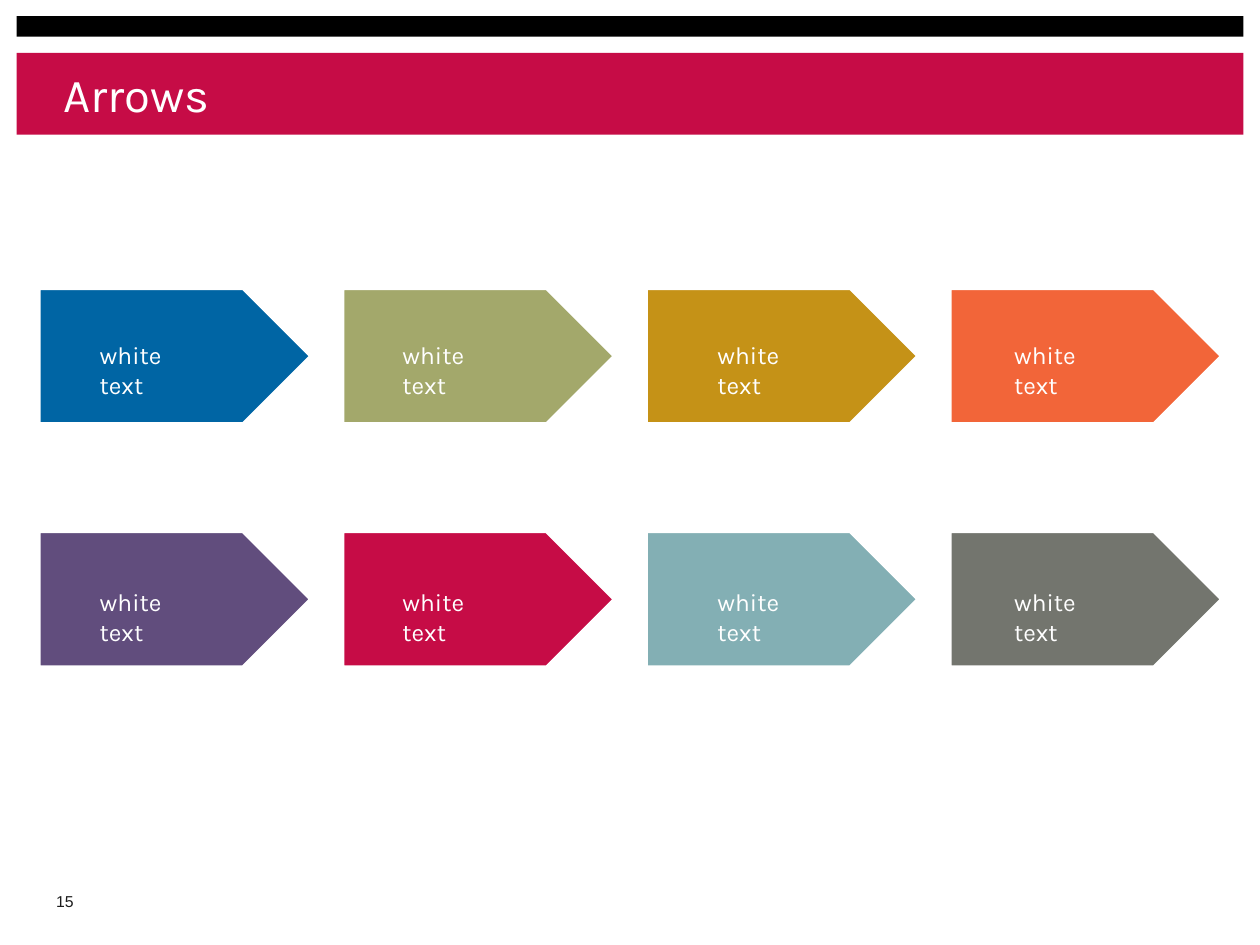
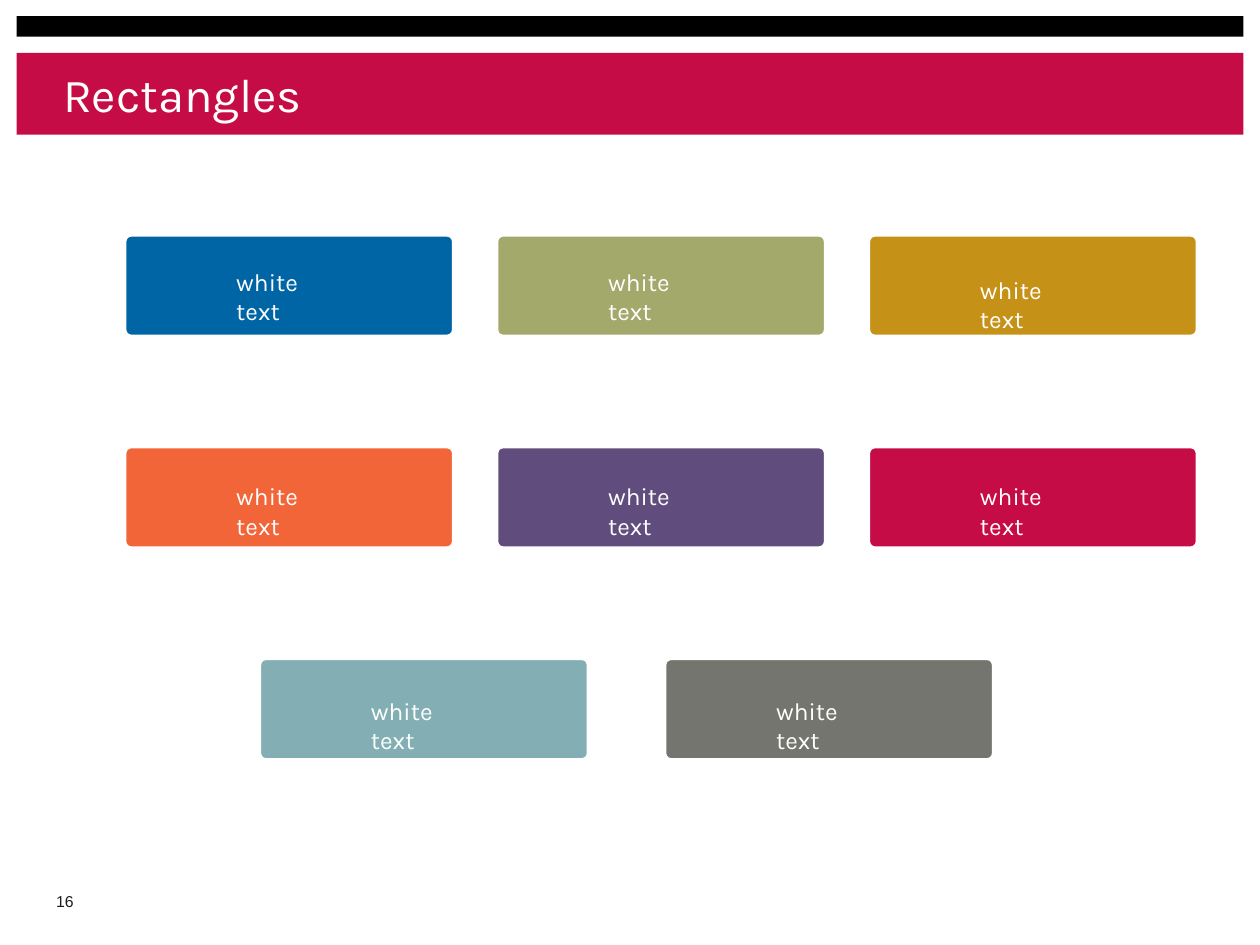
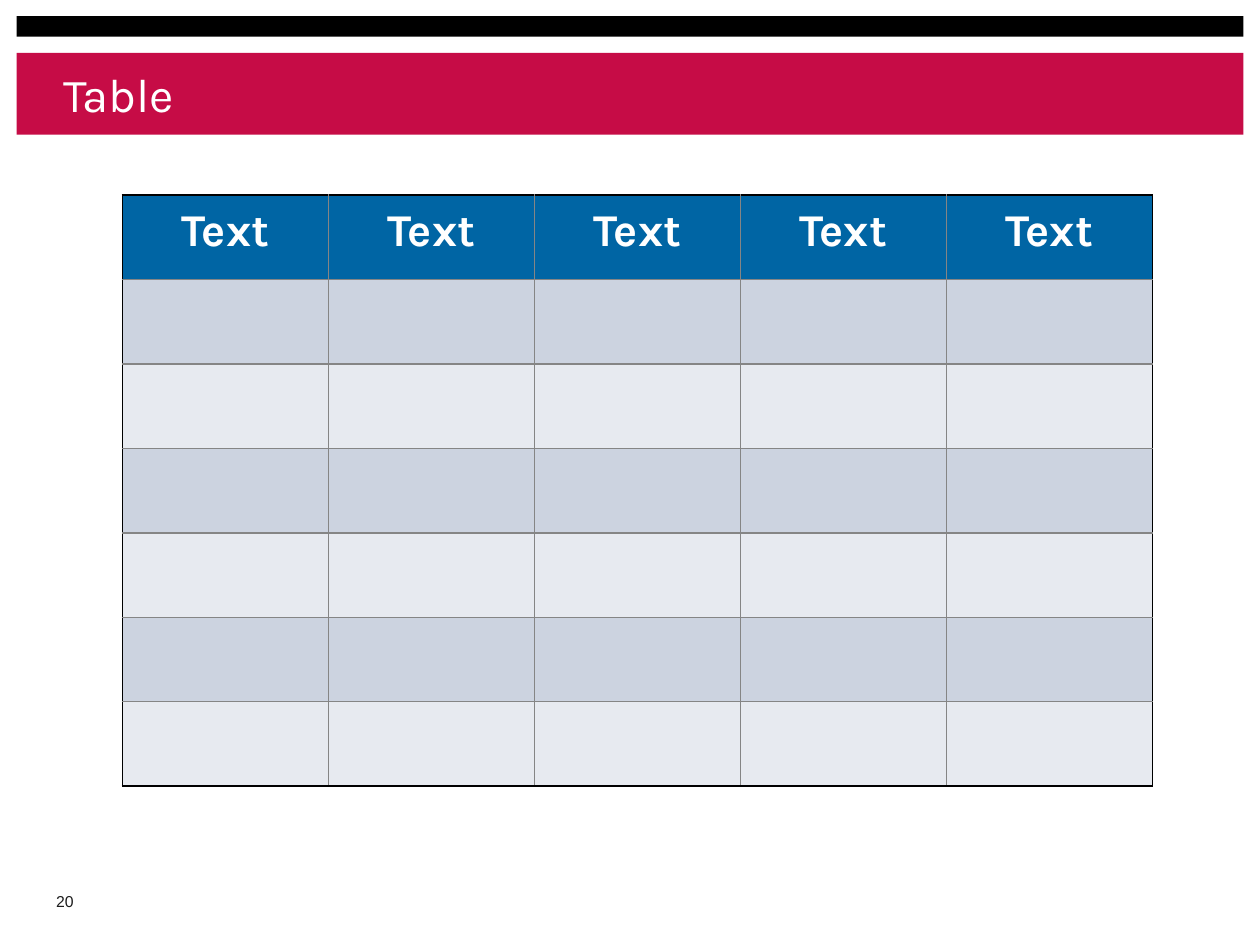
from dataclasses import dataclass

from lxml.etree import SubElement
from pptx import Presentation
from pptx.dml.color import RGBColor
from pptx.enum.shapes import MSO_SHAPE as SHAPE
from pptx.enum.text import MSO_ANCHOR as ANCHOR, PP_ALIGN as ALIGN
from pptx.oxml.ns import qn
from pptx.slide import Slide
from pptx.table import _Cell as Cell
from pptx.util import Pt

COLORS = {
    "blue": "0065A4", "green": "A3A86B", "gold": "C59217", "orange": "F26539",
    "purple": "614D7D", "crimson": "C60C46", "teal": "83AFB4", "gray": "73756E",
    "white": "FFFFFF", "black": "000000", "number": "1C1C1C",
    "grid": "858585", "dark_row": "CCD3E0", "light_row": "E7EAF0",
}
PALETTE = ["blue", "green", "gold", "orange", "purple", "crimson", "teal", "gray"]
FONT = "Karla"
NUMBER_FONT = "Arial"


@dataclass
class Badge:
    """A coloured shape with a caption; all lengths in points."""
    color: str
    left: float
    top: float
    caption_dx: float
    caption_dy: float


@dataclass
class BadgeStyle:
    kind: SHAPE
    width: float
    height: float
    adjust: float


ARROW = BadgeStyle(SHAPE.PENTAGON, 154.8, 77, 0.5)
RECTANGLE = BadgeStyle(SHAPE.ROUNDED_RECTANGLE, 187.5, 57.5, 0.06)


def rgb(name: str) -> RGBColor:
    return RGBColor.from_string(COLORS[name])


def style_font(p, size: float, color: str, name: str = FONT, bold: bool = False) -> None:
    p.font.size, p.font.name, p.font.bold = Pt(size), name, bold
    p.font.color.rgb = rgb(color)


def set_margins(tf, margin: float) -> None:
    tf.margin_left = tf.margin_right = tf.margin_top = tf.margin_bottom = Pt(margin)


def add_band(s: Slide, top: float, height: float, color: str) -> None:
    sp = s.shapes.add_shape(SHAPE.RECTANGLE, Pt(9.5), Pt(top), Pt(701), Pt(height))
    sp.shadow.inherit = False
    sp.fill.solid()
    sp.fill.fore_color.rgb = rgb(color)
    sp.line.fill.background()


def add_text(shapes, text: str, left: float, top: float, width: float, height: float,
             margin: float = 0, wrap: bool = True):
    sp = shapes.add_textbox(Pt(left), Pt(top), Pt(width), Pt(height))
    tf = sp.text_frame
    tf.word_wrap = wrap
    set_margins(tf, margin)
    tf.text = text
    return tf


def add_slide(prs, title: str, number: int) -> Slide:
    s = prs.slides.add_slide(prs.slide_layouts[5])
    add_band(s, 30.25, 46.75, "crimson")
    add_band(s, 9.25, 11.75, "black")

    # Slide number
    tf = add_text(s.shapes, str(number), 25, 502.5, 26, 25, margin=7.2, wrap=False)
    tf.vertical_anchor = ANCHOR.MIDDLE
    style_font(tf.paragraphs[0], 9, "number", NUMBER_FONT)

    # Title, raised above the bands
    sp = s.shapes.title
    sp.left, sp.top, sp.width, sp.height = Pt(36), Pt(39), Pt(674), Pt(29)
    s.shapes._spTree.append(sp._element)
    tf = sp.text_frame
    tf.text = title
    set_margins(tf, 0)
    tf.vertical_anchor = ANCHOR.MIDDLE
    p = tf.paragraphs[0]
    p.alignment = ALIGN.LEFT
    style_font(p, 27, "white")
    return s


def add_text_shadow(r) -> None:
    effects = SubElement(r._r.get_or_add_rPr(), qn("a:effectLst"))
    shadow = SubElement(effects, qn("a:outerShdw"), dist="25400", dir="2700000")
    SubElement(shadow, qn("a:srgbClr"), val=COLORS["black"])


def add_badge(s: Slide, badge: Badge, style: BadgeStyle) -> None:
    group = s.shapes.add_group_shape()
    sp = group.shapes.add_shape(style.kind, Pt(badge.left), Pt(badge.top),
                                Pt(style.width), Pt(style.height))
    sp.shadow.inherit = False
    sp.adjustments[0] = style.adjust
    sp.fill.solid()
    sp.fill.fore_color.rgb = rgb(badge.color)
    sp.line.color.rgb = rgb("white")
    sp.line.width = Pt(1.5)

    tf = add_text(group.shapes, "white text", badge.left + badge.caption_dx,
                  badge.top + badge.caption_dy, 58.5, 17.5)
    p = tf.paragraphs[0]
    style_font(p, 14, "white")
    add_text_shadow(p.runs[0])


def set_borders(cell: Cell, sides: dict[str, str]) -> None:
    for side, color in sides.items():
        ln = SubElement(cell._tc.get_or_add_tcPr(), qn(f"a:ln{side}"), w=str(Pt(1)))
        fill = SubElement(ln, qn("a:solidFill"))
        SubElement(fill, qn("a:srgbClr"), val=COLORS[color])


def add_grid_table(s: Slide, headers: list[str], n_rows: int) -> None:
    n_cols = len(headers)
    table = s.shapes.add_table(n_rows, n_cols, Pt(70), Pt(111.5),
                               Pt(117.7 * n_cols), Pt(48.25 * n_rows)).table
    table.first_row = table.horz_banding = False
    for i in range(n_rows):
        for j in range(n_cols):
            cell = table.cell(i, j)
            outer = {"L": j == 0, "R": j == n_cols - 1, "T": i == 0, "B": i == n_rows - 1}
            set_borders(cell, {k: "black" if edge else "grid" for k, edge in outer.items()})
            cell.fill.solid()
            row_color = "blue" if i == 0 else "dark_row" if i % 2 else "light_row"
            cell.fill.fore_color.rgb = rgb(row_color)
    for j, text in enumerate(headers):
        cell = table.cell(0, j)
        cell.text = text
        cell.vertical_anchor = ANCHOR.MIDDLE
        p = cell.text_frame.paragraphs[0]
        p.alignment = ALIGN.CENTER
        p.line_spacing, p.space_after = Pt(24), Pt(20)
        style_font(p, 26, "white", bold=True)


prs = Presentation()
prs.slide_width, prs.slide_height = Pt(720), Pt(540)

# Arrows: two rows of four
s = add_slide(prs, "Arrows", 15)
caption_dx = [34.5, 34, 40.5, 36.5]
caption_dy = [29.5, 31.5]
for i, color in enumerate(PALETTE):
    row, col = divmod(i, 4)
    add_badge(s, Badge(color, 22.5 + 173.5 * col, 165 + 139 * row,
                       caption_dx[col], caption_dy[row]), ARROW)

# Rectangles: rows of three, the last one short and centred
s = add_slide(prs, "Rectangles", 16)
row_left = [71.5, 71.5, 148.5]
row_pitch = [212.5, 212.5, 231.5]
caption_dy = [18, 19.5, 21]
for i, color in enumerate(PALETTE):
    row, col = divmod(i, 3)
    dy = 22.5 if color == "gold" else caption_dy[row]
    add_badge(s, Badge(color, row_left[row] + row_pitch[row] * col,
                       134.5 + 121 * row, 63.5, dy), RECTANGLE)

# Table
s = add_slide(prs, "Table", 20)
add_grid_table(s, ["Text"] * 5, 7)

prs.save("out.pptx")
